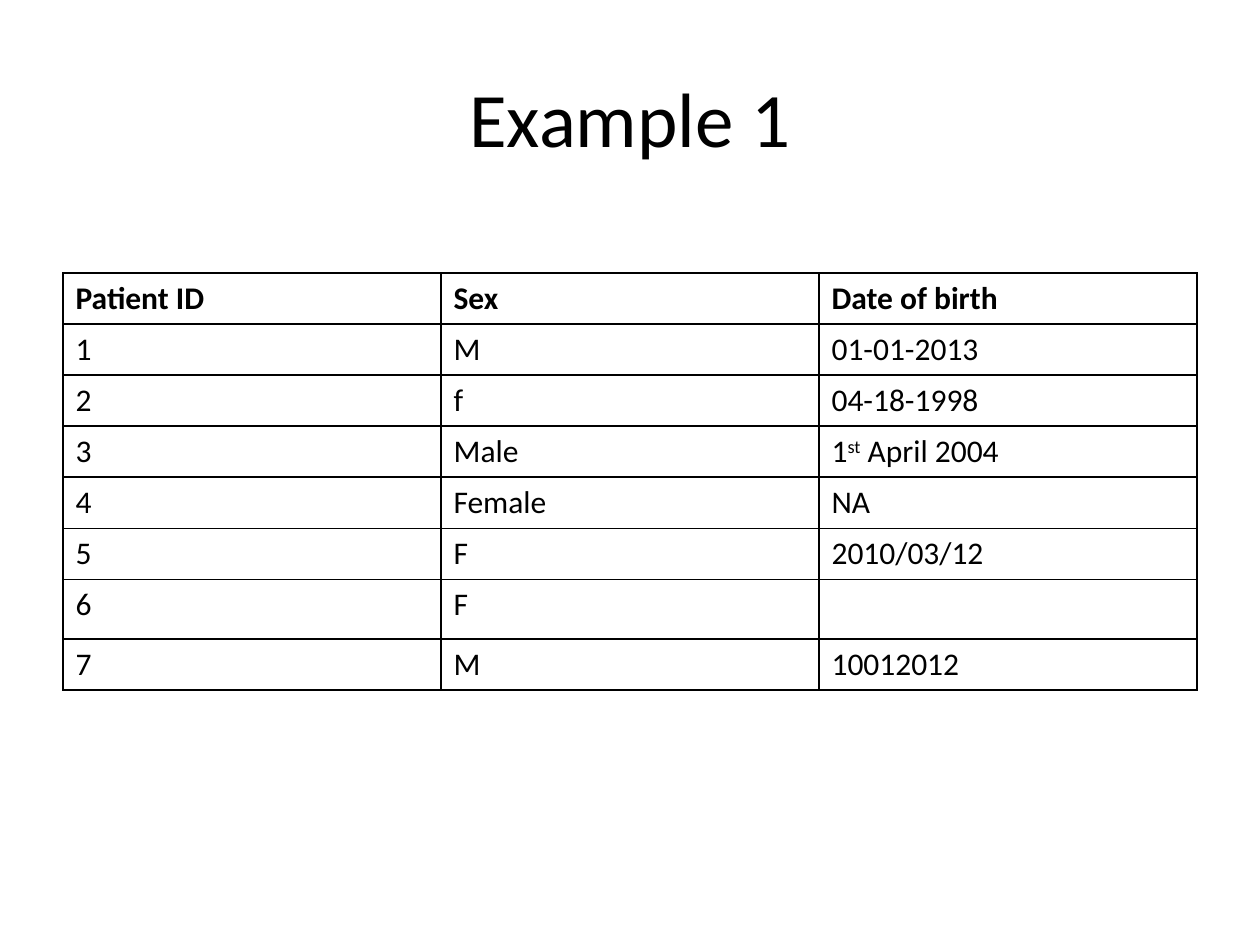
import dataclasses

import lxml.etree
import pptx
import pptx.dml.color
import pptx.enum.text
import pptx.oxml.ns
import pptx.util
from pptx.util import Cm


@dataclasses.dataclass(frozen=True)
class Theme:
    font: str = "Calibri"
    ink: str = "000000"
    title_size: int = 44
    table_size: int = 18
    border_width: int = 1


theme = Theme()


def style_paragraph(paragraph, size, bold=False):
    paragraph.font.name = theme.font
    paragraph.font.size = pptx.util.Pt(size)
    paragraph.font.bold = bold
    paragraph.font.color.rgb = pptx.dml.color.RGBColor.from_string(theme.ink)


def add_borders(cell):
    qn = pptx.oxml.ns.qn
    properties = cell._tc.get_or_add_tcPr()
    for side in ("a:lnL", "a:lnR", "a:lnT", "a:lnB"):
        line = lxml.etree.SubElement(
            properties, qn(side), w=str(pptx.util.Pt(theme.border_width)))
        fill = lxml.etree.SubElement(line, qn("a:solidFill"))
        lxml.etree.SubElement(fill, qn("a:srgbClr"), val=theme.ink)


presentation = pptx.Presentation()
presentation.slide_width = Cm(25.4)
presentation.slide_height = Cm(19.05)
slide = presentation.slides.add_slide(presentation.slide_layouts[6])

# Title
title = slide.shapes.add_textbox(Cm(1.27), Cm(0.76), Cm(22.86), Cm(3.18)).text_frame
title.word_wrap = True
title.vertical_anchor = pptx.enum.text.MSO_ANCHOR.MIDDLE
heading = title.paragraphs[0]
heading.text = "Example 1"
heading.alignment = pptx.enum.text.PP_ALIGN.CENTER
style_paragraph(heading, theme.title_size)

# Patient records; a cell given as a tuple has a raised middle part
records = [
    ("Patient ID", "Sex", "Date of birth"),
    ("1", "M", "01-01-2013"),
    ("2", "f", "04-18-1998"),
    ("3", "Male", ("1", "st", " April 2004")),
    ("4", "Female", "NA"),
    ("5", "F", "2010/03/12"),
    ("6", "F", ""),
    ("7", "M", "10012012"),
]
row_height, tall_row_height, tall_row = Cm(1.03), Cm(1.2), 6

# Patient table
patients = slide.shapes.add_table(
    len(records), len(records[0]), Cm(1.27), Cm(5.5), Cm(22.86),
    row_height * (len(records) - 1) + tall_row_height).table
patients.first_row = False
patients.horz_banding = False

for row, record in enumerate(records):
    patients.rows[row].height = tall_row_height if row == tall_row else row_height
    for column, entry in enumerate(record):
        cell = patients.cell(row, column)
        add_borders(cell)
        cell.fill.background()
        paragraph = cell.text_frame.paragraphs[0]
        style_paragraph(paragraph, theme.table_size, bold=row == 0)
        if isinstance(entry, tuple):
            for position, part in enumerate(entry):
                run = paragraph.add_run()
                run.text = part
                if position == 1:
                    run._r.get_or_add_rPr().set("baseline", "30000")
        elif entry:
            paragraph.text = entry

presentation.save("out.pptx")
